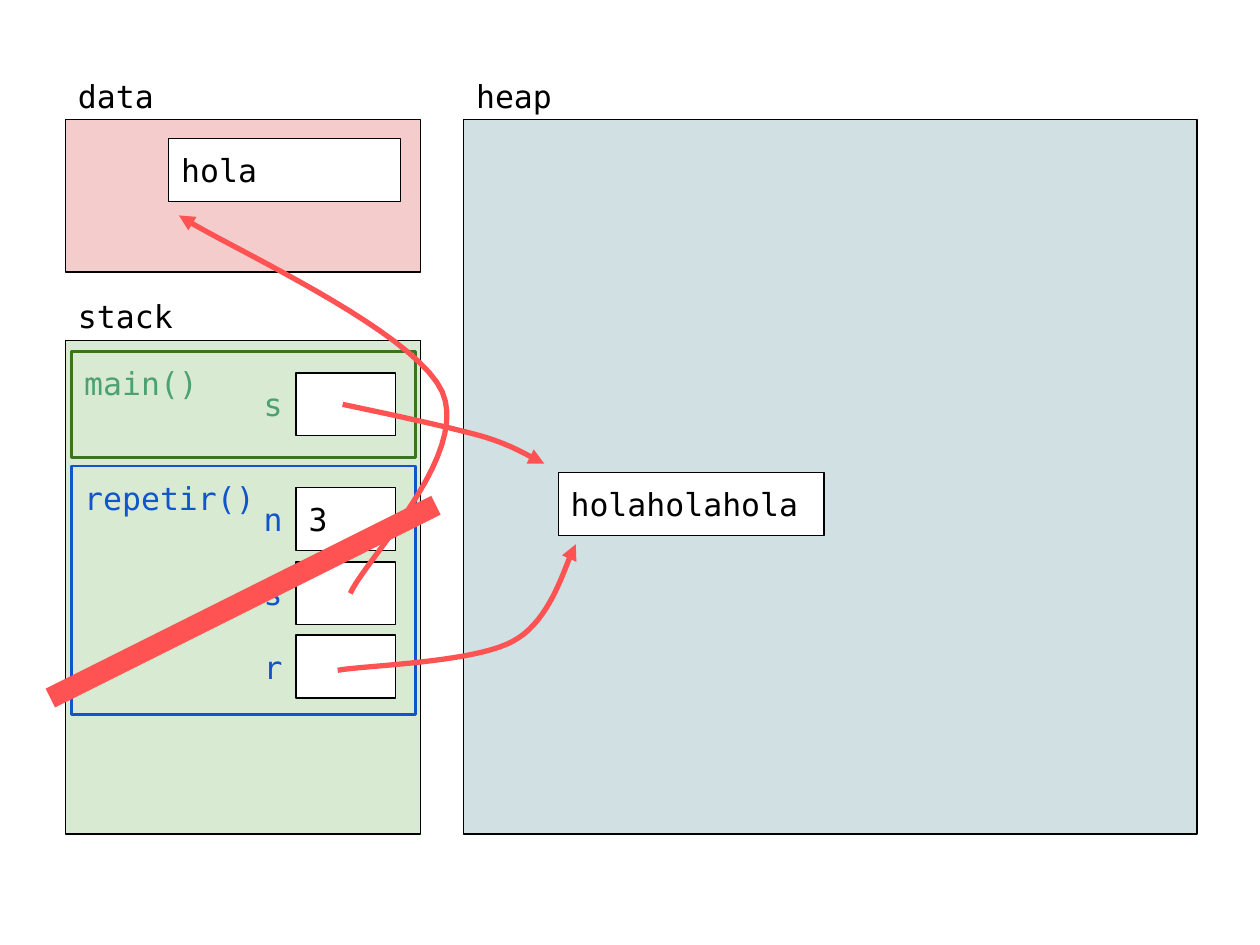
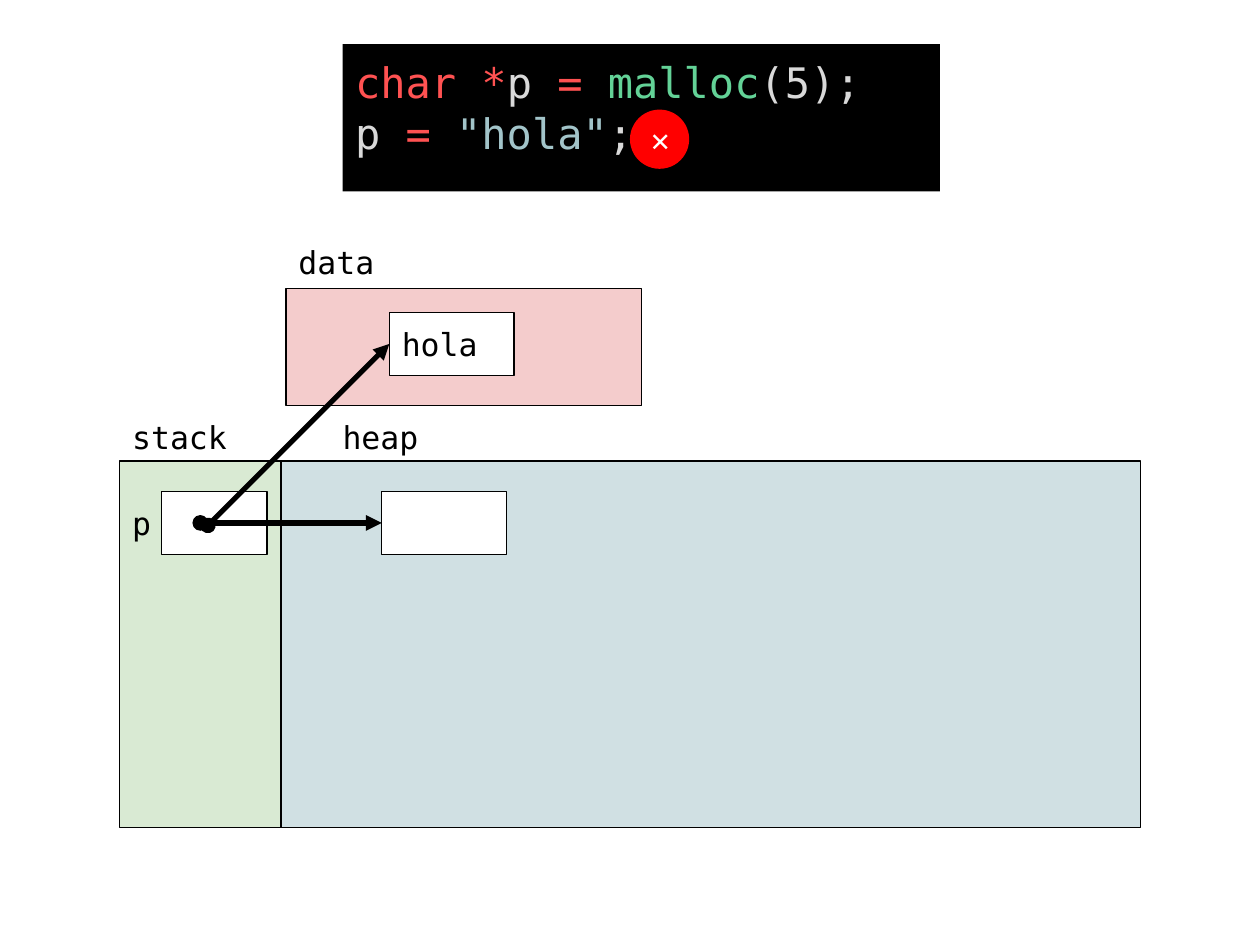
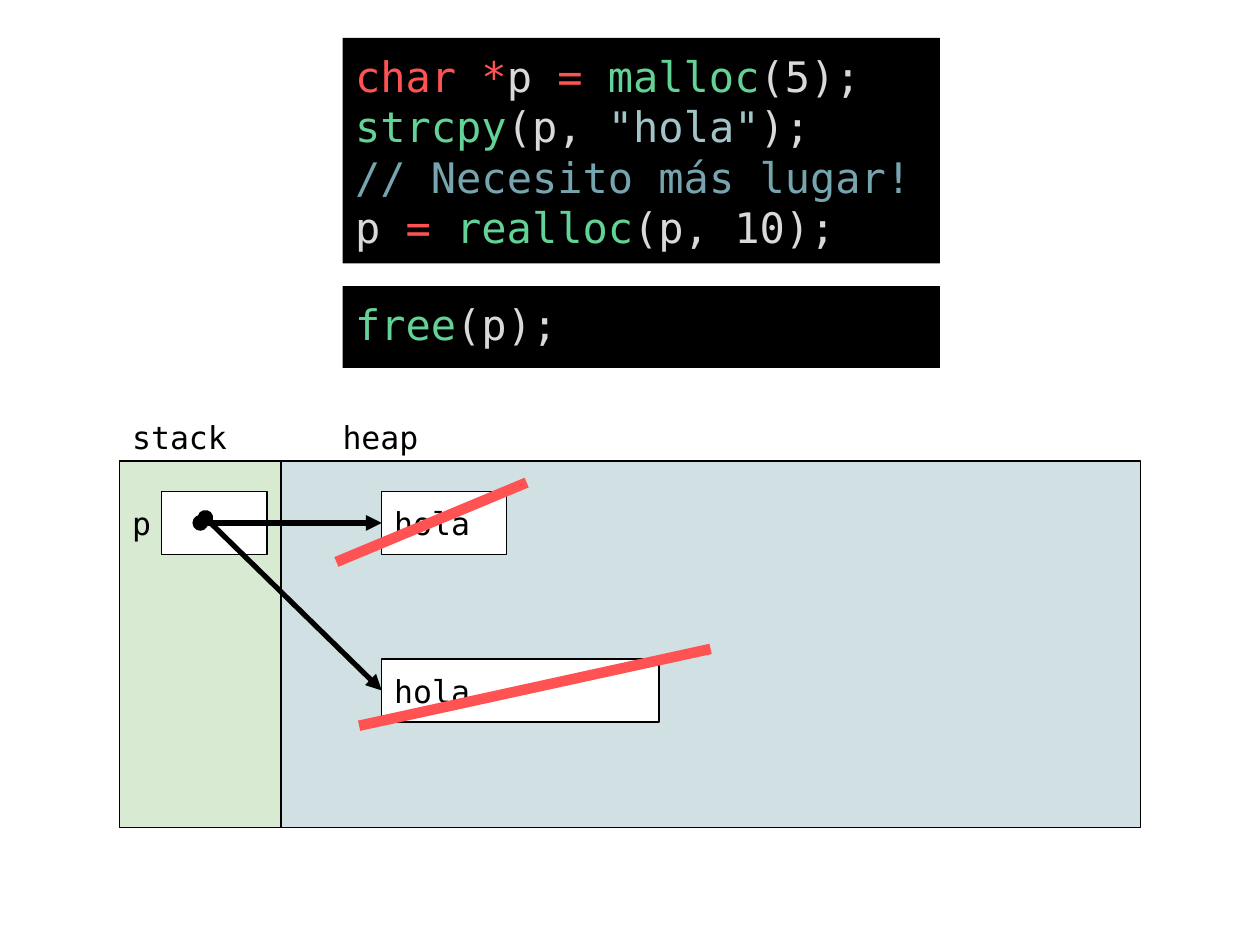
import dataclasses

import pptx
import pptx.dml.color
import pptx.enum.shapes
import pptx.enum.text
import pptx.oxml
import pptx.oxml.ns
import pptx.util

Inches = pptx.util.Inches
Pt = pptx.util.Pt
SHAPE = pptx.enum.shapes.MSO_SHAPE
ALIGN = pptx.enum.text.PP_ALIGN
ANCHOR = pptx.enum.text.MSO_ANCHOR


@dataclasses.dataclass(frozen=True)
class Theme:
    font: str = "DejaVu Sans Mono"
    label_size: int = 18
    code_size: int = 24
    black: str = "000000"
    white: str = "FFFFFF"
    stack: str = "D9EAD3"
    data: str = "F4CCCC"
    heap: str = "D0E0E3"
    main_frame: str = "38761D"
    main_text: str = "4BA173"
    repeat: str = "1155CC"
    red: str = "FF5252"
    error: str = "FF0000"
    plain: str = "D9D9D9"
    function: str = "63D297"
    string: str = "A2C4C9"
    comment: str = "76A5AF"


T = Theme()
RGB = pptx.dml.color.RGBColor.from_string


def box(shapes, at, lines=(), color=T.black, fill=None, outline=None, weight=0.75,
        size=T.label_size, align=ALIGN.LEFT, anchor=ANCHOR.TOP, bold=None, kind=SHAPE.RECTANGLE):
    """Add a shape, or a text box without fill and outline; lines is a string or lists of (text, colour)."""
    place = [Inches(value) for value in at]
    if fill or outline:
        shape = shapes.add_shape(kind, *place)
        shape.shadow.inherit = False
        if fill:
            shape.fill.solid()
            shape.fill.fore_color.rgb = RGB(fill)
        else:
            shape.fill.background()
        if outline:
            shape.line.color.rgb = RGB(outline)
            shape.line.width = Pt(weight)
        else:
            shape.line.fill.background()
    else:
        shape = shapes.add_textbox(*place)

    frame = shape.text_frame
    frame.word_wrap = True
    frame.vertical_anchor = anchor
    frame.margin_left = frame.margin_right = Inches(0.1)
    frame.margin_top = frame.margin_bottom = Inches(0.1)
    if isinstance(lines, str):
        lines = [[(lines, color)]]
    for number, tokens in enumerate(lines):
        paragraph = frame.add_paragraph() if number else frame.paragraphs[0]
        paragraph.alignment = align
        for text, token_color in tokens:
            run = paragraph.add_run()
            run.text = text
            run.font.name = T.font
            run.font.size = Pt(size)
            run.font.bold = bold
            run.font.color.rgb = RGB(token_color)


def stroke(path, color, weight, head=None, tail=None):
    """Style a connector or an open outline, with optional line ends."""
    path.line.color.rgb = RGB(color)
    path.line.width = Pt(weight)
    namespace = pptx.oxml.ns.nsdecls("a")
    for tag, end in (("headEnd", head), ("tailEnd", tail)):
        if end:
            path.line._get_or_add_ln().append(
                pptx.oxml.parse_xml(f'<a:{tag} {namespace} type="{end}"/>'))
    path.element.spPr.append(pptx.oxml.parse_xml(f"<a:effectLst {namespace}/>"))


deck = pptx.Presentation()
deck.slide_width, deck.slide_height = Inches(10), Inches(7.5)
calls, assign, realloc = [deck.slides.add_slide(deck.slide_layouts[6]).shapes for _ in range(3)]

CELL_H = 0.5
LABEL_H = 0.38
LABEL_RISE = 0.44
CELL = {"fill": T.white, "outline": T.black}

# Slide 1: memory during the call to repetir()
for name, fill, left, top, width, height in (
    ("stack", T.stack, 0.52, 2.7, 2.82, 3.92),
    ("data", T.data, 0.52, 0.95, 2.82, 1.21),
    ("heap", T.heap, 3.68, 0.95, 5.82, 5.67),
):
    box(calls, (left, top, width, height), fill=fill, outline=T.black)
    box(calls, (left, top - LABEL_RISE, 1.31, LABEL_H), name)

box(calls, (1.34, 1.1, 1.84, CELL_H), "hola", **CELL)
box(calls, (4.43, 3.75, 2.11, CELL_H), "holaholahola", **CELL)

for function, top, height, frame_color, text_color in (
    ("main()", 2.79, 0.84, T.main_frame, T.main_text),
    ("repetir()", 3.7, 1.97, T.repeat, T.repeat),
):
    box(calls, (0.57, top, 2.73, height), function, text_color, outline=frame_color, weight=1.5)

for variable, value, top, color in (
    ("s", "", 2.96, T.main_text),
    ("n", "3", 3.87, T.repeat),
    ("s", "", 4.46, T.repeat),
    ("r", "", 5.04, T.repeat),
):
    box(calls, (1.96, top, 0.38, CELL_H), variable, color, align=ALIGN.RIGHT)
    box(calls, (2.35, top, 0.79, CELL_H), value, **CELL)

# Each pointer: its target, then cubic Bézier segments (two controls and an end) back to the variable
STEPS = 20
for target, segments in (
    ((1.42, 1.71), (((1.76, 1.94), (3.28, 2.61), (3.51, 3.11)),
                    ((3.73, 3.61), (2.9, 4.44), (2.78, 4.71)))),
    ((4.32, 3.68), (((4.24, 3.65), (4.11, 3.55), (3.85, 3.47)),
                    ((3.58, 3.39), (2.91, 3.25), (2.72, 3.21)))),
    ((4.57, 4.32), (((4.49, 4.45), (4.39, 4.92), (4.07, 5.09)),
                    ((3.76, 5.26), (2.91, 5.28), (2.68, 5.32)))),
):
    points = []
    start = target
    for control_1, control_2, end in segments:
        for step in range(1, STEPS + 1):
            t = step / STEPS
            u = 1 - t
            points.append([
                Inches(u**3 * a + 3 * u * u * t * b + 3 * u * t * t * c + t**3 * d)
                for a, b, c, d in zip(start, control_1, control_2, end)])
        start = end
    outline = calls.build_freeform(Inches(target[0]), Inches(target[1]))
    outline.add_line_segments(points, close=False)
    pointer = outline.convert_to_shape()
    pointer.fill.background()
    stroke(pointer, T.red, 3, head="triangle")

# Slides 2 and 3: the same stack and heap under the code
declaration = [("char *", T.red), ("p ", T.plain), ("= ", T.red),
               ("malloc", T.function), ("(5);", T.plain)]
assignment = [("p ", T.plain), ("= ", T.red), ('"hola"', T.string), (";", T.plain)]
copying = [("strcpy", T.function), ("(p, ", T.plain), ('"hola"', T.string), (");", T.plain)]
remark = [("// Necesito más lugar!", T.comment)]
growing = [("p ", T.plain), ("= ", T.red), ("realloc", T.function), ("(p, 10);", T.plain)]
freeing = [("free", T.function), ("(p);", T.plain)]

for shapes, top, height, code in (
    (assign, 0.35, 1.17, [declaration, assignment]),
    (realloc, 0.3, 1.79, [declaration, copying, remark, growing]),
    (realloc, 2.27, 0.65, [freeing]),
):
    box(shapes, (2.72, top, 4.74, height), code, fill=T.black, size=T.code_size)

for shapes, first_block in ((assign, ""), (realloc, "hola")):
    for name, fill, left, width, label_left in (
        ("stack", T.stack, 0.95, 1.29, 0.95),
        ("heap", T.heap, 2.23, 6.82, 2.62),
    ):
        box(shapes, (left, 3.66, width, 2.91), fill=fill, outline=T.black)
        box(shapes, (label_left, 3.66 - LABEL_RISE, 1.29, LABEL_H), name)
    box(shapes, (0.95, 3.9, 0.28, CELL_H), "p", align=ALIGN.RIGHT)
    box(shapes, (1.28, 3.9, 0.84, CELL_H), **CELL)
    box(shapes, (3.03, 3.9, 0.99, CELL_H), first_block, **CELL)

# Slide 2: the literal in data, and the error mark
box(assign, (2.27, 2.29, 2.82, 0.93), fill=T.data, outline=T.black)
box(assign, (2.27, 1.83, 1.44, LABEL_H), "data")
box(assign, (3.09, 2.48, 0.99, CELL_H), "hola", **CELL)
error_mark = assign.add_group_shape().shapes
box(error_mark, (5, 0.87, 0.47, 0.47), fill=T.error, kind=SHAPE.OVAL)
box(error_mark, (5, 0.95, 0.48, 0.31), "✕", T.white, align=ALIGN.CENTER,
    anchor=ANCHOR.MIDDLE, bold=True)

# Slide 3: the block after growing
box(realloc, (3.03, 5.23, 2.2, CELL_H), "hola", **CELL)

# Straight pointers and the strokes that cross out freed memory
POINTER = {"color": T.black, "weight": 3, "head": "oval", "tail": "triangle"}
CROSS_OUT = {"color": T.red, "weight": 6}
for shapes, ends, style in (
    (calls, (3.46, 4.01, 0.4, 5.54), {"color": T.red, "weight": 12}),
    (assign, (1.59, 4.15, 3.03, 4.15), POINTER),
    (assign, (1.65, 4.17, 3.09, 2.73), POINTER),
    (realloc, (1.59, 4.15, 3.03, 4.15), POINTER),
    (realloc, (1.63, 4.11, 3.03, 5.48), POINTER),
    (realloc, (4.18, 3.83, 2.67, 4.46), CROSS_OUT),
    (realloc, (5.64, 5.15, 2.85, 5.76), CROSS_OUT),
):
    straight = shapes.add_connector(
        pptx.enum.shapes.MSO_CONNECTOR.STRAIGHT, *[Inches(value) for value in ends])
    stroke(straight, **style)

deck.save("out.pptx")
